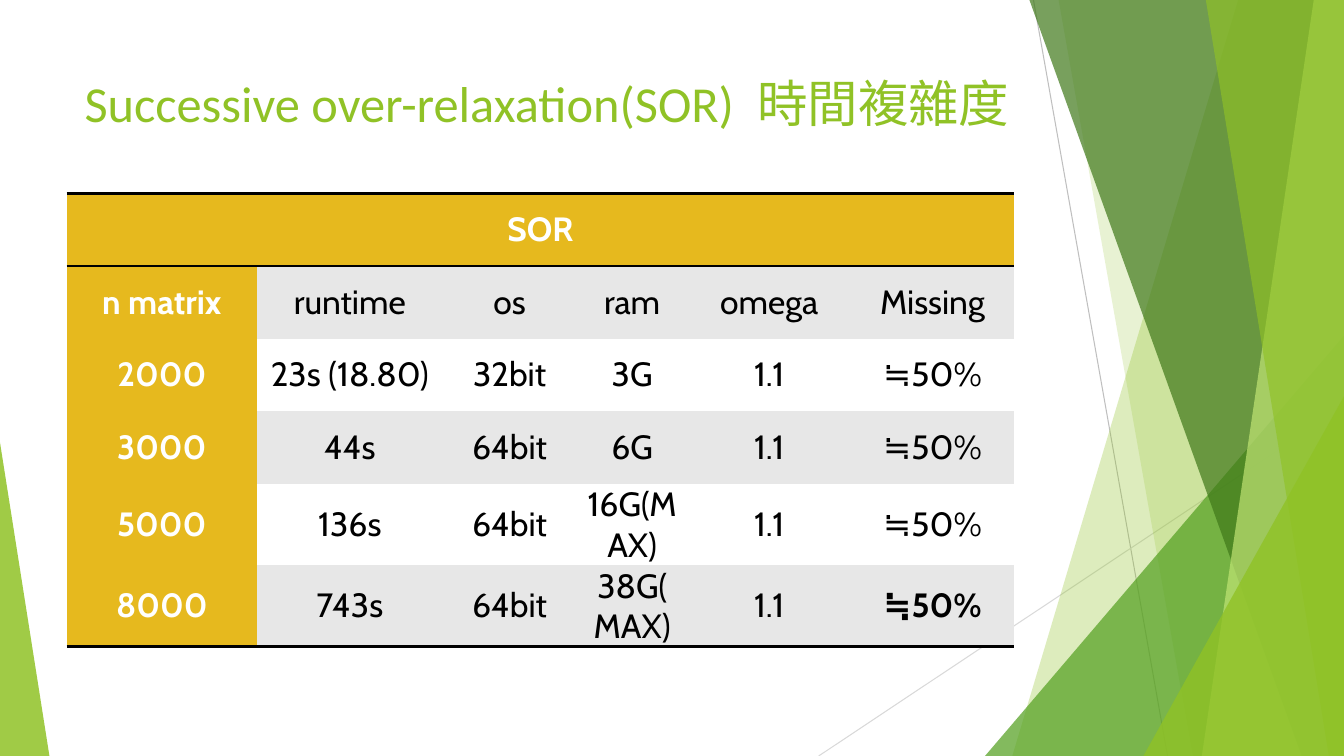
from lxml.etree import SubElement
from pptx import Presentation
from pptx.dml.color import RGBColor
from pptx.enum.shapes import MSO_CONNECTOR, MSO_SHAPE
from pptx.enum.text import MSO_ANCHOR, PP_ALIGN
from pptx.oxml import parse_xml
from pptx.oxml.ns import nsdecls, qn
from pptx.util import Inches, Pt

WIDE, HIGH = 13.33, 7.5
LIME, GREEN, DARK, PALE = "90C226", "54A021", "3F7819", "C0E474"
GOLD, GRAY, WHITE, BLACK = "E6B91E", "E7E7E7", "FFFFFF", "000000"
NO_GRID = "{2D5ABB26-0587-4C30-8999-92F81FD0307C}"

HEAD = "SOR"
ROWS = [
    ["n matrix", "runtime", "os", "ram", "omega", "Missing"],
    ["2000", "23s (18.80)", "32bit", "3G", "1.1", "≒50%"],
    ["3000", "44s", "64bit", "6G", "1.1", "≒50%"],
    ["5000", "136s", "64bit", "16G(MAX)", "1.1", "≒50%"],
    ["8000", "743s", "64bit", "38G(MAX)", "1.1", "≒50%"],
]
COLS = [1.89, 1.84, 1.33, 1.1, 1.62, 1.62]
ROW_HIGH = 0.72


def color(code):
    """Turn a hex string into a colour."""
    return RGBColor.from_string(code)


def write(para, text, font="Cabin", size=24, hue=BLACK, bold=False, align=None):
    """Add a formatted run to a paragraph."""
    run = para.add_run()
    run.text = text
    run.font.name, run.font.size, run.font.bold = font, Pt(size), bold
    run.font.color.rgb = color(hue)
    SubElement(run.font._element, qn("a:ea")).set("typeface", font)
    if align is not None:
        para.alignment = align


def rule(cell, side, width=2):
    """Draw a black border on the side T or B of a cell."""
    props = cell._tc.get_or_add_tcPr()
    line = parse_xml(
        f'<a:ln{side} {nsdecls("a")} w="{Pt(width)}"><a:solidFill>'
        f'<a:srgbClr val="{BLACK}"/></a:solidFill></a:ln{side}>')
    props.insert(len(props.findall(qn("a:lnT"))), line)


class Board:
    """Holds the current slide and its common style."""

    def __init__(self, deck):
        """Add a blank slide."""
        self.slide = deck.slides.add_slide(deck.slide_layouts[6])
        self.shapes = self.slide.shapes
        self.slide.background.fill.solid()
        self.slide.background.fill.fore_color.rgb = color(WHITE)

    def paint(self, shape, hue, alpha):
        """Fill a shape with a partly clear colour, with no line or shadow."""
        shape.shadow.inherit = False
        shape.line.fill.background()
        shape.fill.solid()
        shape.fill.fore_color.rgb = color(hue)
        tone = shape._element.spPr.find(qn("a:solidFill"))[0]
        SubElement(tone, qn("a:alpha")).set("val", str(alpha * 1000))

    def line(self, start, end, hue):
        """Draw a thin straight line."""
        ends = [Inches(n) for n in start + end]
        line = self.shapes.add_connector(MSO_CONNECTOR.STRAIGHT, *ends)
        line.line.color.rgb = color(hue)
        line.line.width = Pt(0.75)
        SubElement(line._element.spPr, qn("a:effectLst"))

    def band(self, top, foot, hue, alpha):
        """Fill from a slanted left edge to the right side of the slide."""
        points = [(top, 0), (WIDE, 0), (WIDE, HIGH), (foot, HIGH)]
        points = [(Inches(x), Inches(y)) for x, y in points]
        form = self.shapes.build_freeform(*points[0])
        form.add_line_segments(points[1:], close=True)
        self.paint(form.convert_to_shape(), hue, alpha)

    def wedge(self, left, width, height, tip, hue, alpha):
        """Stand a triangle on the bottom edge; tip places its apex."""
        shape = self.shapes.add_shape(
            MSO_SHAPE.ISOSCELES_TRIANGLE, Inches(left), Inches(HIGH - height),
            Inches(width), Inches(height))
        shape.adjustments[0] = tip
        self.paint(shape, hue, alpha)

    def title(self, left, top, width, height, parts):
        """Write a title from pairs of text and font."""
        box = self.shapes.add_textbox(
            Inches(left), Inches(top), Inches(width), Inches(height))
        frame = box.text_frame
        frame.word_wrap = True
        frame.vertical_anchor = MSO_ANCHOR.TOP
        for text, font in parts:
            write(frame.paragraphs[0], text, font=font, size=36, hue=LIME)

    def cell(self, cell, text, fill, **style):
        """Fill a cell and write its centred text."""
        cell.margin_left = cell.margin_right = Inches(0.07)
        cell.margin_top = cell.margin_bottom = Pt(0.3)
        cell.vertical_anchor = MSO_ANCHOR.MIDDLE
        cell.fill.solid()
        cell.fill.fore_color.rgb = color(fill)
        if text:
            write(cell.text_frame.paragraphs[0], text,
                  align=PP_ALIGN.CENTER, **style)

    def table(self, left, top, head, rows, cols):
        """Draw a table with a merged head, gold first column and bands."""
        count = len(rows) + 1
        grid = self.shapes.add_table(
            count, len(cols), Inches(left), Inches(top),
            Inches(sum(cols)), Inches(ROW_HIGH * count)).table
        grid._tbl.tblPr.find(qn("a:tableStyleId")).text = NO_GRID
        grid.horz_banding = False
        for col, width in zip(grid.columns, cols):
            col.width = Inches(width)
        for row in grid.rows:
            row.height = Inches(ROW_HIGH)
        last = len(cols) - 1
        grid.cell(0, 0).merge(grid.cell(0, last))
        for c in range(len(cols)):
            top_cell = grid.cell(0, c)
            self.cell(top_cell, "" if c else head, GOLD, hue=WHITE, bold=True)
            rule(top_cell, "T")
            rule(top_cell, "B")
            for r, row in enumerate(rows, 1):
                cell = grid.cell(r, c)
                if c == 0:
                    self.cell(cell, row[c], GOLD, hue=WHITE, bold=True)
                else:
                    final = r == len(rows) and c == last
                    self.cell(cell, row[c], GRAY if r % 2 else WHITE, bold=final)
            rule(grid.cell(len(rows), c), "B")


def main():
    """Build and save the slide."""
    deck = Presentation()
    deck.slide_width, deck.slide_height = Inches(WIDE), Inches(HIGH)
    board = Board(deck)
    board.line((10.25, 0), (11.58, HIGH), "BFBFBF")
    board.line((WIDE, 4.03), (8.12, HIGH), "D9D9D9")
    board.band(12.28, 10.04, LIME, 30)
    board.band(10.5, 11.83, LIME, 20)
    board.wedge(9.77, 3.56, 4.17, 1, GREEN, 72)
    board.band(10.21, 12.91, DARK, 70)
    board.band(13.03, 11.92, PALE, 70)
    board.band(11.96, 13.18, LIME, 65)
    board.wedge(11.34, 1.99, 3.57, 1, LIME, 80)
    board.wedge(0, 0.49, 3.11, 0, LIME, 85)
    board.title(0.74, 0.67, 9.4, 1.44, [
        ("Successive over-relaxation(SOR)  ", "Calibri"),
        ("時間複雜度", "Cabin")])
    board.table(0.66, 1.92, HEAD, ROWS, COLS)
    deck.save("out.pptx")


main()
